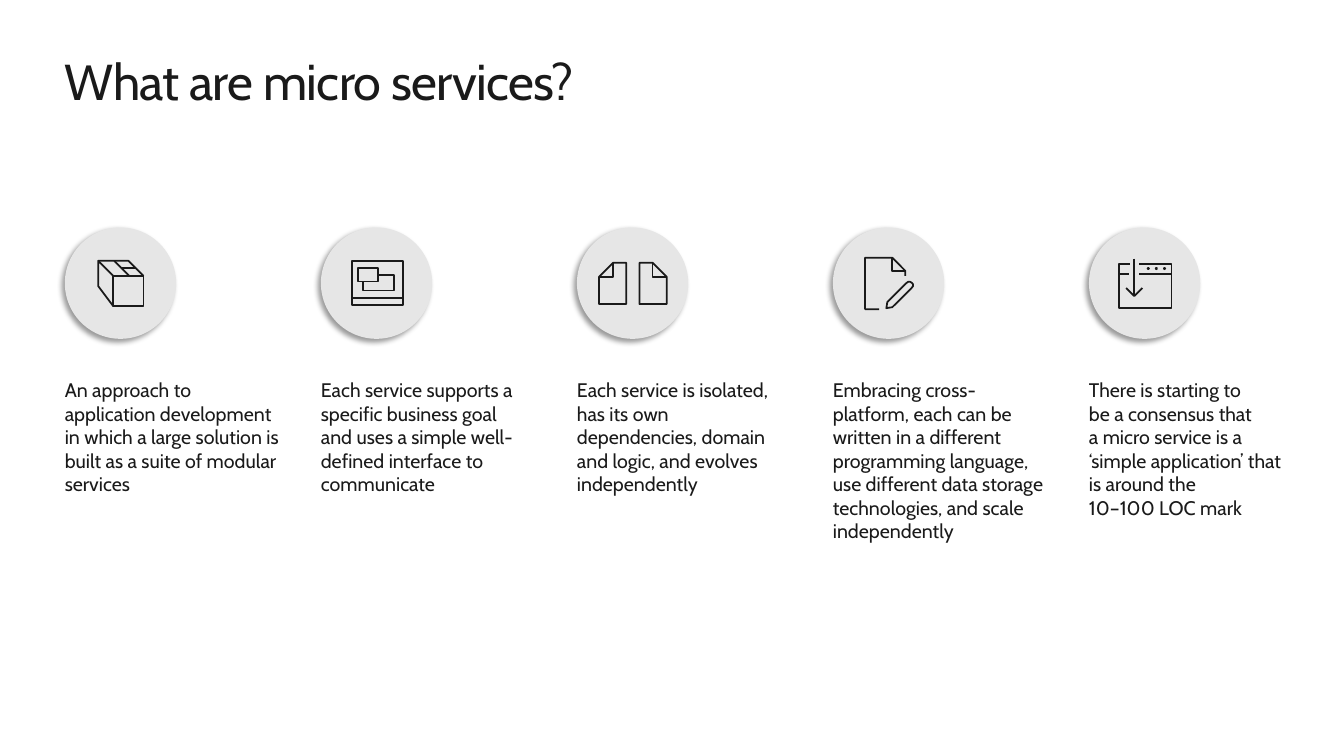
"""Build the slide that explains micro services in five icon columns."""
from dataclasses import dataclass

from lxml import etree
from pptx import Presentation
from pptx.dml.color import RGBColor
from pptx.enum.shapes import MSO_SHAPE
from pptx.enum.text import MSO_ANCHOR, MSO_AUTO_SIZE, PP_ALIGN
from pptx.oxml.ns import qn
from pptx.shapes.autoshape import Shape
from pptx.shapes.group import GroupShape
from pptx.slide import Slide
from pptx.text.text import TextFrame
from pptx.util import Pt

OVAL = MSO_SHAPE.OVAL
TOP = MSO_ANCHOR.TOP
FIT_SHAPE = MSO_AUTO_SIZE.SHAPE_TO_FIT_TEXT
LEFT = PP_ALIGN.LEFT
TITLE_ONLY_LAYOUT = 5

Stroke = list[tuple[float, float]]


@dataclass(frozen=True)
class Theme:
    font: str = "Cabin"
    ink: RGBColor = RGBColor(0x1A, 0x1A, 0x1A)
    disc: RGBColor = RGBColor(0xE6, 0xE6, 0xE6)
    shadow: str = "000000"
    title_size: float = 36
    body_size: float = 14
    icon_line: float = 1.25


@dataclass(frozen=True)
class Column:
    text: str
    width: float
    height: float
    icon: list[Stroke]


THEME = Theme()
SLIDE_WIDTH, SLIDE_HEIGHT = 960, 540
MARGIN = 46.3
COLUMN_PITCH = 182.88
DISC_TOP, DISC_SIZE = 162.5, 79.5
TEXT_TOP = 270
NARROW, WIDE = 143.3, 155.5

BOX: list[Stroke] = [
    [(35.3, 23.8), (46.1, 34.6)],
    [(50.4, 28.8), (40.3, 28.8)],
    [(34.6, 34.6), (56.2, 34.6), (56.2, 56.2), (34.6, 56.2), (34.6, 34.6)],
    [(34.6, 34.6), (23.8, 23.8), (23.8, 41.8), (34.6, 56.2)],
    [(23.8, 23.8), (45.4, 23.8), (56.2, 34.6)],
]
SCREEN: list[Stroke] = [
    [(22.3, 23.8), (58.9, 23.8), (58.9, 55.4), (22.3, 55.4), (22.3, 23.8)],
    [(26.6, 29.2), (41, 29.2), (41, 38.6), (26.6, 38.6), (26.6, 29.2)],
    [(30.2, 38.6), (30.2, 45.1), (52.2, 45.1), (52.2, 33.8), (41, 33.8)],
    [(22.3, 50.4), (58.9, 50.4)],
]
LEFT_PAGE: list[Stroke] = [
    [(15.8, 35.3), (25.9, 25.2), (35.3, 25.2), (35.3, 54.7), (15.8, 54.7), (15.8, 35.3)],
    [(15.8, 35.3), (25.9, 35.3), (25.9, 25.2)],
]
PAGES: list[Stroke] = LEFT_PAGE + [
    [(80 - x, y) for x, y in stroke] for stroke in LEFT_PAGE
]
PAGE_AND_PENCIL: list[Stroke] = [
    [(51.8, 31), (42.5, 31), (42.5, 21.6)],
    [(51.8, 34.6), (51.8, 31), (42.5, 21.6), (23, 21.6), (23, 58.3), (33.1, 58.3)],
    [(38.2, 57.6), (42.5, 56.9), (56.2, 43.2), (57.2, 42), (57.3, 40.6), (56.4, 39.5),
     (55.2, 38.8), (53.8, 38.8), (52.6, 39.6), (38.9, 53.3), (38.2, 57.6)],
]
DOTS: list[Stroke] = [
    [(x, 28.8), (x + 0.5, 29.3), (x, 29.8), (x - 0.5, 29.3), (x, 28.8)]
    for x in (42.4, 48.2, 54)
]
WINDOW_AND_ARROW: list[Stroke] = DOTS + [
    [(36, 25.9), (59, 25.9), (59, 57.6), (21.6, 57.6), (21.6, 25.9), (29.5, 25.9)],
    [(36, 33.1), (59, 33.1)],
    [(21.6, 33.1), (28.8, 33.1)],
    [(26.6, 43.2), (32.4, 49), (38.2, 43.2)],
    [(32.4, 22.3), (32.4, 49)],
]

COLUMNS = [
    Column("An approach to application development in which a large solution is "
           "built as a suite of modular services", WIDE, 85, BOX),
    Column("Each service supports a specific business goal and uses a simple "
           "well-defined interface to communicate", NARROW, 85, SCREEN),
    Column("Each service is isolated, has its own dependencies, domain and logic, "
           "and evolves independently", NARROW, 85, PAGES),
    Column("Embracing cross-platform, each can be written in a different programming "
           "language, use different data storage technologies, and scale independently",
           WIDE, 118.8, PAGE_AND_PENCIL),
    Column("There is starting to \nbe a consensus that \na micro service is a "
           "‘simple application’ that is around the \n10–100 LOC mark",
           NARROW, 101.5, WINDOW_AND_ARROW),
]


def write_text(text_frame: TextFrame, text: str, size: float) -> None:
    """Fill a text frame with one left-aligned paragraph in the theme's style."""
    text_frame.margin_left = text_frame.margin_right = 0
    text_frame.margin_top = text_frame.margin_bottom = 0
    text_frame.word_wrap = True
    text_frame.auto_size = FIT_SHAPE
    text_frame.vertical_anchor = TOP
    paragraph = text_frame.paragraphs[0]
    paragraph.text = text
    paragraph.alignment = LEFT
    for run in paragraph.runs:
        run.font.name = THEME.font
        run.font.size = Pt(size)
        run.font.color.rgb = THEME.ink


def add_title(slide: Slide, text: str) -> None:
    """Place and format the slide title."""
    title = slide.shapes.title
    title.left, title.top = Pt(MARGIN), Pt(36)
    title.width, title.height = Pt(867.6), Pt(44)
    write_text(title.text_frame, text, THEME.title_size)
    for run in title.text_frame.paragraphs[0].runs:
        run.font._element.set("spc", "-50")


def add_shadow(shape: Shape) -> None:
    """Give a shape a soft shadow towards the lower left."""
    shape.shadow.inherit = False
    effects = shape.element.spPr.find(qn("a:effectLst"))
    shadow = etree.SubElement(effects, qn("a:outerShdw"), blurRad=str(Pt(4)),
                              dist=str(Pt(3)), dir="8100000", algn="tr", rotWithShape="0")
    color = etree.SubElement(shadow, qn("a:srgbClr"), val=THEME.shadow)
    etree.SubElement(color, qn("a:alpha"), val="40000")


def add_disc(group: GroupShape, left: float) -> None:
    """Draw the round backing of an icon."""
    disc = group.shapes.add_shape(OVAL, Pt(left), Pt(DISC_TOP), Pt(DISC_SIZE), Pt(DISC_SIZE))
    disc.fill.solid()
    disc.fill.fore_color.rgb = THEME.disc
    disc.line.fill.background()
    add_shadow(disc)


def add_icon(group: GroupShape, left: float, strokes: list[Stroke]) -> None:
    """Draw an icon's strokes as one outline, measured from its disc's corner."""
    start_x, start_y = strokes[0][0]
    builder = group.shapes.build_freeform(Pt(start_x), Pt(start_y))
    for index, stroke in enumerate(strokes):
        points = [(Pt(x), Pt(y)) for x, y in stroke]
        if index:
            builder.move_to(*points[0])
        builder.add_line_segments(points[1:], close=False)
    icon = builder.convert_to_shape(Pt(left), Pt(DISC_TOP))
    icon.fill.background()
    icon.line.color.rgb = THEME.ink
    icon.line.width = Pt(THEME.icon_line)
    icon.shadow.inherit = False


def add_column(slide: Slide, left: float, column: Column) -> None:
    """Add one column: an icon on its disc with the text below."""
    group = slide.shapes.add_group_shape()
    add_disc(group, left)
    add_icon(group, left, column.icon)
    box = slide.shapes.add_textbox(Pt(left), Pt(TEXT_TOP), Pt(column.width), Pt(column.height))
    write_text(box.text_frame, column.text, THEME.body_size)


def main() -> None:
    """Build and save the presentation."""
    presentation = Presentation()
    presentation.slide_width, presentation.slide_height = Pt(SLIDE_WIDTH), Pt(SLIDE_HEIGHT)
    slide = presentation.slides.add_slide(presentation.slide_layouts[TITLE_ONLY_LAYOUT])
    add_title(slide, "What are micro services?")
    for index, column in enumerate(COLUMNS):
        add_column(slide, MARGIN + index * COLUMN_PITCH, column)
    presentation.save("out.pptx")


if __name__ == "__main__":
    main()
